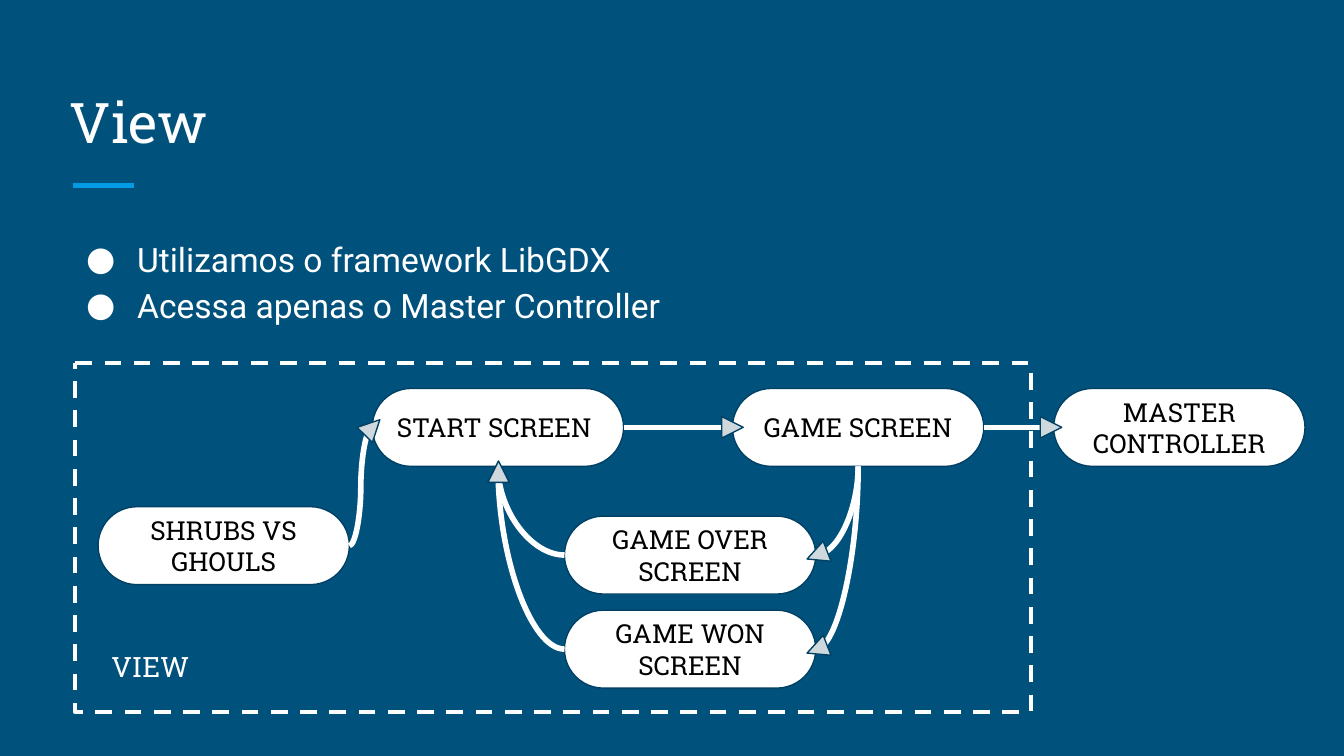
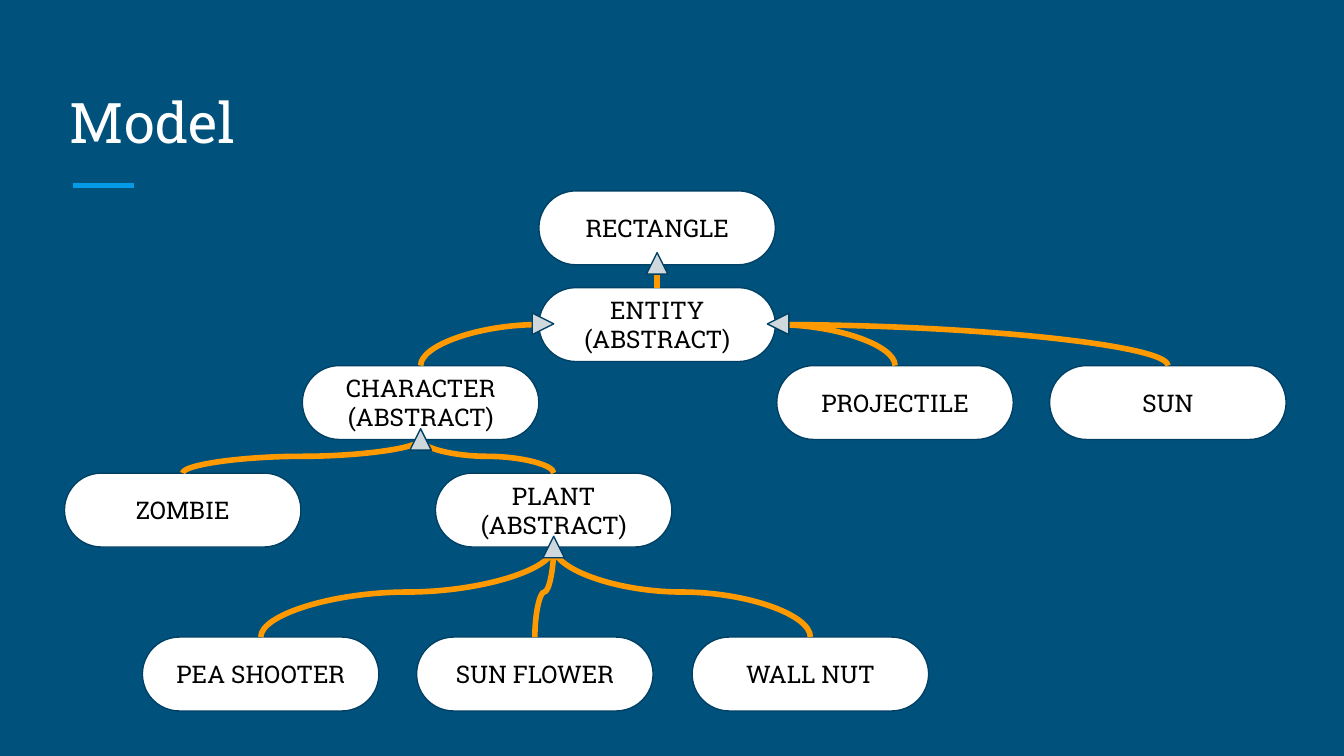
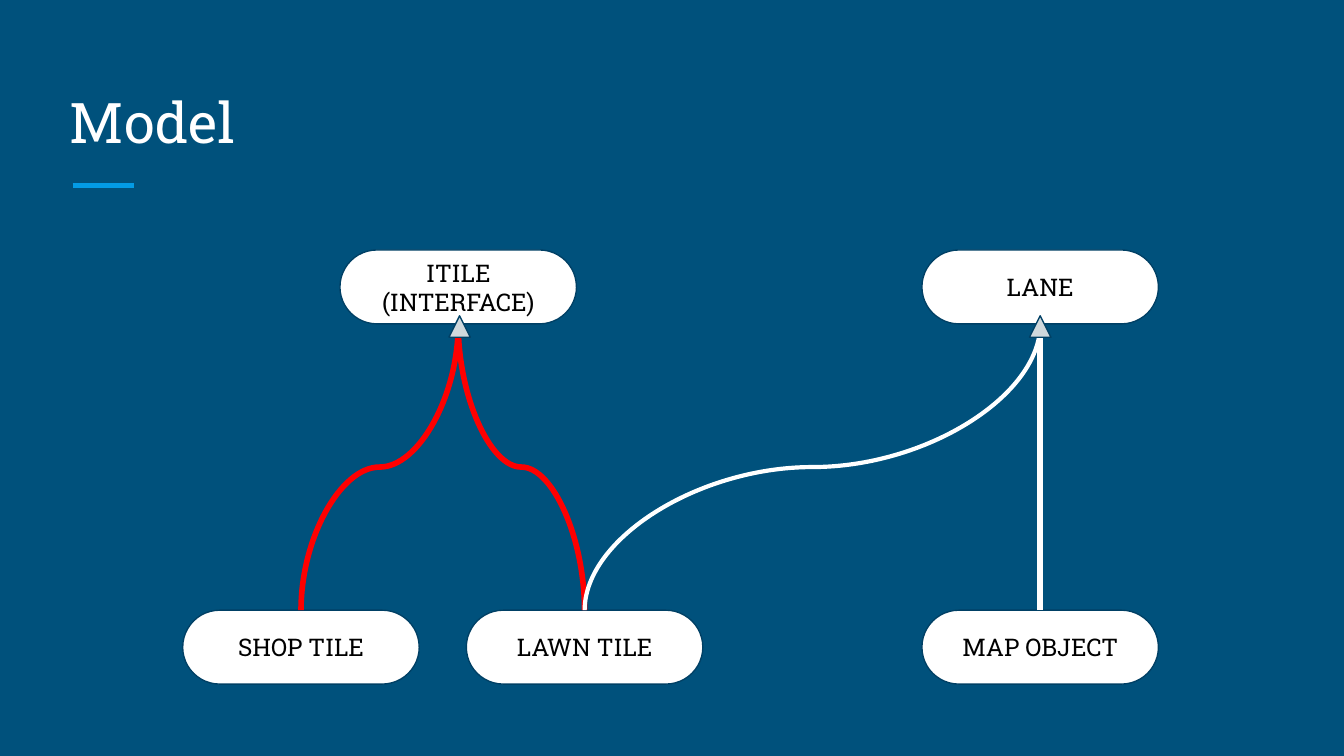
from lxml.etree import SubElement
from pptx import Presentation
from pptx.dml.color import RGBColor
from pptx.enum.dml import MSO_LINE
from pptx.enum.shapes import MSO_CONNECTOR as CONNECTOR, MSO_SHAPE as SHAPE
from pptx.enum.text import MSO_ANCHOR as ANCHOR, MSO_AUTO_SIZE as AUTO_SIZE, PP_ALIGN as ALIGN
from pptx.oxml.ns import qn
from pptx.util import Inches, Pt

HEX = {
    "background": "00517C", "accent": "039BE5", "white": "FFFFFF", "black": "000000",
    "outline": "004065", "arrow": "CFD8DC", "orange": "FF9900", "red": "FF0000",
}
COLORS = {name: RGBColor.from_string(value) for name, value in HEX.items()}
SERIF, SANS = "Roboto Slab", "Roboto"
TOP, LEFT, BOTTOM, RIGHT = range(4)
ARROW_SIZE = 0.16


def write(frame, text, size, color="white", font=SERIF, align=ALIGN.LEFT,
          anchor=ANCHOR.TOP, spacing=1.0, bullet=None, auto_size=AUTO_SIZE.NONE):
    """Fill a text frame, one paragraph per line of text."""
    frame.text = text
    frame.word_wrap = True
    frame.auto_size = auto_size
    frame.vertical_anchor = anchor
    frame.margin_left = frame.margin_right = Inches(0.1)
    frame.margin_top = frame.margin_bottom = Inches(0.1)
    for paragraph in frame.paragraphs:
        paragraph.alignment = align
        paragraph.line_spacing = spacing
        paragraph.space_before = Pt(0)
        run = paragraph.runs[0]
        run.font.name, run.font.size = font, Pt(size)
        run.font.color.rgb = COLORS[color]
        for script in ("a:ea", "a:cs", "a:sym"):
            SubElement(run._r.get_or_add_rPr(), qn(script), typeface=font)
        if bullet:
            properties = paragraph._p.get_or_add_pPr()
            properties.set("marL", str(Inches(0.5)))
            properties.set("indent", str(Inches(-0.38)))
            bullet_color = SubElement(properties, qn("a:buClr"))
            SubElement(bullet_color, qn("a:srgbClr"), val=HEX[color])
            SubElement(properties, qn("a:buSzPts"), val=str(size * 100))
            SubElement(properties, qn("a:buFont"), typeface=font)
            SubElement(properties, qn("a:buChar"), char=bullet)


def link(shapes, start, start_side, end, end_side, color, width=3):
    """Join two boxes with a curve that leaves and arrives square to their sides."""
    curve = shapes.add_connector(CONNECTOR.CURVE, 0, 0, 0, 0)
    curve.begin_connect(start, start_side)
    curve.end_connect(end, end_side)
    curve.line.color.rgb = COLORS[color]
    curve.line.width = Pt(width)
    SubElement(curve.element.spPr, qn("a:effectLst"))

    dx, dy = curve.end_x - curve.begin_x, curve.end_y - curve.begin_y
    center_x, center_y = curve.begin_x + dx // 2, curve.begin_y + dy // 2
    if start_side in (TOP, BOTTOM):
        rotation = 270 if dx > 0 else 90
        flipped = (dx > 0) == (dy > 0)
        length, depth = abs(dy), abs(dx)
    else:
        rotation = 180 if dy < 0 else 0
        flipped = (dx > 0) == (dy < 0)
        length, depth = abs(dx), abs(dy)
    curve.left, curve.top = center_x - length // 2, center_y - depth // 2
    curve.width, curve.height = length, depth
    transform = curve.element.spPr.find(qn("a:xfrm"))
    transform.set("rot", str(rotation * 60000))
    transform.set("flipH", str(int(flipped)))
    transform.set("flipV", "0")
    if start_side % 2 != end_side % 2:
        curve.element.spPr.find(qn("a:prstGeom")).set("prst", "curvedConnector2")


DIAGRAMS = [
    {
        "title": "View", "layout": 1, "box": (1.87, 0.58), "size": 14,
        "boxes": {
            "SHRUBS VS GHOULS": (0.73, 3.77),
            "GAME SCREEN": (5.45, 2.89),
            "START SCREEN": (2.77, 2.89),
            "GAME OVER SCREEN": (4.2, 3.84),
            "GAME WON SCREEN": (4.2, 4.54),
            "MASTER CONTROLLER": (7.84, 2.89),
        },
        "links": [
            ("SHRUBS VS GHOULS", RIGHT, "START SCREEN", LEFT, "white"),
            ("START SCREEN", RIGHT, "GAME SCREEN", LEFT, "white"),
            ("GAME WON SCREEN", LEFT, "START SCREEN", BOTTOM, "white"),
            ("GAME OVER SCREEN", LEFT, "START SCREEN", BOTTOM, "white"),
            ("GAME SCREEN", BOTTOM, "GAME OVER SCREEN", RIGHT, "white"),
            ("GAME SCREEN", BOTTOM, "GAME WON SCREEN", RIGHT, "white"),
            ("GAME SCREEN", RIGHT, "MASTER CONTROLLER", LEFT, "white"),
        ],
        "arrows": [(3.63, 3.43, 0), (6, 4.05, 248.6), (6, 4.75, 248.6),
                   (2.69, 3.1, 44.8), (5.37, 3.1, 90), (7.74, 3.1, 90)],
    },
    {
        "title": "Model", "layout": 5, "box": (1.76, 0.55), "size": 13,
        "boxes": {
            "RECTANGLE": (4.01, 1.42),
            "ENTITY (ABSTRACT)": (4.01, 2.14),
            "CHARACTER (ABSTRACT)": (2.25, 2.72),
            "PLANT (ABSTRACT)": (3.24, 3.52),
            "ZOMBIE": (0.48, 3.52),
            "PROJECTILE": (5.78, 2.72),
            "SUN": (7.81, 2.72),
            "PEA SHOOTER": (1.06, 4.74),
            "SUN FLOWER": (3.1, 4.74),
            "WALL NUT": (5.15, 4.74),
        },
        "links": [
            ("CHARACTER (ABSTRACT)", TOP, "ENTITY (ABSTRACT)", LEFT, "orange"),
            ("RECTANGLE", BOTTOM, "ENTITY (ABSTRACT)", TOP, "orange"),
            ("PROJECTILE", TOP, "ENTITY (ABSTRACT)", RIGHT, "orange"),
            ("SUN", TOP, "ENTITY (ABSTRACT)", RIGHT, "orange"),
            ("WALL NUT", TOP, "PLANT (ABSTRACT)", BOTTOM, "orange"),
            ("SUN FLOWER", TOP, "PLANT (ABSTRACT)", BOTTOM, "orange"),
            ("PEA SHOOTER", TOP, "PLANT (ABSTRACT)", BOTTOM, "orange"),
            ("ZOMBIE", TOP, "CHARACTER (ABSTRACT)", BOTTOM, "orange"),
            ("PLANT (ABSTRACT)", TOP, "CHARACTER (ABSTRACT)", BOTTOM, "orange"),
        ],
        "arrows": [(4.81, 1.88, 0), (3.05, 3.19, 0), (4.04, 3.99, 0),
                   (3.96, 2.33, 90), (5.71, 2.33, 270)],
    },
    {
        "title": "Model", "layout": 5, "box": (1.76, 0.55), "size": 13,
        "boxes": {
            "SHOP TILE": (1.36, 4.54),
            "MAP OBJECT": (6.86, 4.54),
            "LAWN TILE": (3.47, 4.54),
            "LANE": (6.86, 1.86),
            "ITILE\n(INTERFACE)": (2.53, 1.86),
        },
        "links": [
            ("LAWN TILE", TOP, "ITILE\n(INTERFACE)", BOTTOM, "red"),
            ("SHOP TILE", TOP, "ITILE\n(INTERFACE)", BOTTOM, "red"),
            ("LAWN TILE", TOP, "LANE", BOTTOM, "white", 2.25),
            ("MAP OBJECT", TOP, "LANE", BOTTOM, "white"),
        ],
        "arrows": [(3.34, 2.35, 0), (7.66, 2.35, 0)],
    },
]

prs = Presentation()
prs.slide_width = Inches(10)
prs.slide_height = prs.slide_width * 9 // 16
master_fill = prs.slide_master.background.fill
master_fill.solid()
master_fill.fore_color.rgb = COLORS["background"]

for diagram in DIAGRAMS:
    slide = prs.slides.add_slide(prs.slide_layouts[diagram["layout"]])
    shapes = slide.shapes
    title = shapes.title
    title.left, title.top = Inches(0.42), Inches(0.5)
    title.width, title.height = Inches(9.15), Inches(0.75)
    write(title.text_frame, diagram["title"], size=30, anchor=ANCHOR.BOTTOM)

    width, height = map(Inches, diagram["box"])
    boxes = {}
    for label, (x, y) in diagram["boxes"].items():
        box = shapes.add_shape(SHAPE.ROUNDED_RECTANGLE, Inches(x), Inches(y), width, height)
        box.adjustments[0] = 0.5
        box.shadow.inherit = False
        box.fill.solid()
        box.fill.fore_color.rgb = COLORS["white"]
        box.line.color.rgb = COLORS["outline"]
        box.line.width = Pt(0.75)
        write(box.text_frame, label, size=diagram["size"], color="black", anchor=ANCHOR.MIDDLE,
              align=ALIGN.LEFT if label == "START SCREEN" else ALIGN.CENTER)
        boxes[label] = box

    for start, start_side, end, end_side, *style in diagram["links"]:
        link(shapes, boxes[start], start_side, boxes[end], end_side, *style)

    for x, y, rotation in diagram["arrows"]:
        arrow = shapes.add_shape(SHAPE.ISOSCELES_TRIANGLE, Inches(x), Inches(y),
                                 Inches(ARROW_SIZE), Inches(ARROW_SIZE))
        arrow.rotation = rotation
        arrow.shadow.inherit = False
        arrow.fill.solid()
        arrow.fill.fore_color.rgb = COLORS["arrow"]
        arrow.line.color.rgb = COLORS["outline"]
        arrow.line.width = Pt(0.75)

view_slide = prs.slides[0]
points = view_slide.placeholders[1]
points.left, points.top = Inches(0.42), Inches(1.63)
points.width, points.height = Inches(9.15), Inches(0.88)
write(points.text_frame, "Utilizamos o framework LibGDX\nAcessa apenas o Master Controller",
      size=18, font=SANS, spacing=1.15, bullet="●")

view_frame = view_slide.shapes.add_shape(SHAPE.FLOWCHART_PROCESS, Inches(0.56), Inches(2.7),
                                         Inches(7.11), Inches(2.6))
view_frame.shadow.inherit = False
view_frame.fill.background()
view_frame.line.color.rgb = COLORS["white"]
view_frame.line.width = Pt(2.25)
view_frame.line.dash_style = MSO_LINE.DASH

view_label = view_slide.shapes.add_textbox(Inches(0.73), Inches(4.73), Inches(1.28), Inches(0.45))
write(view_label.text_frame, "VIEW", size=15, auto_size=AUTO_SIZE.SHAPE_TO_FIT_TEXT)

# The rule under the title moves to the master, so every slide shows it.
title_rule = view_slide.shapes.add_connector(CONNECTOR.STRAIGHT, Inches(0.54), Inches(1.38),
                                             Inches(1), Inches(1.38))
title_rule.line.color.rgb = COLORS["accent"]
title_rule.line.width = Pt(3)
SubElement(title_rule.element.spPr, qn("a:effectLst"))
prs.slide_master.shapes.element.append(title_rule.element)

prs.save("out.pptx")
